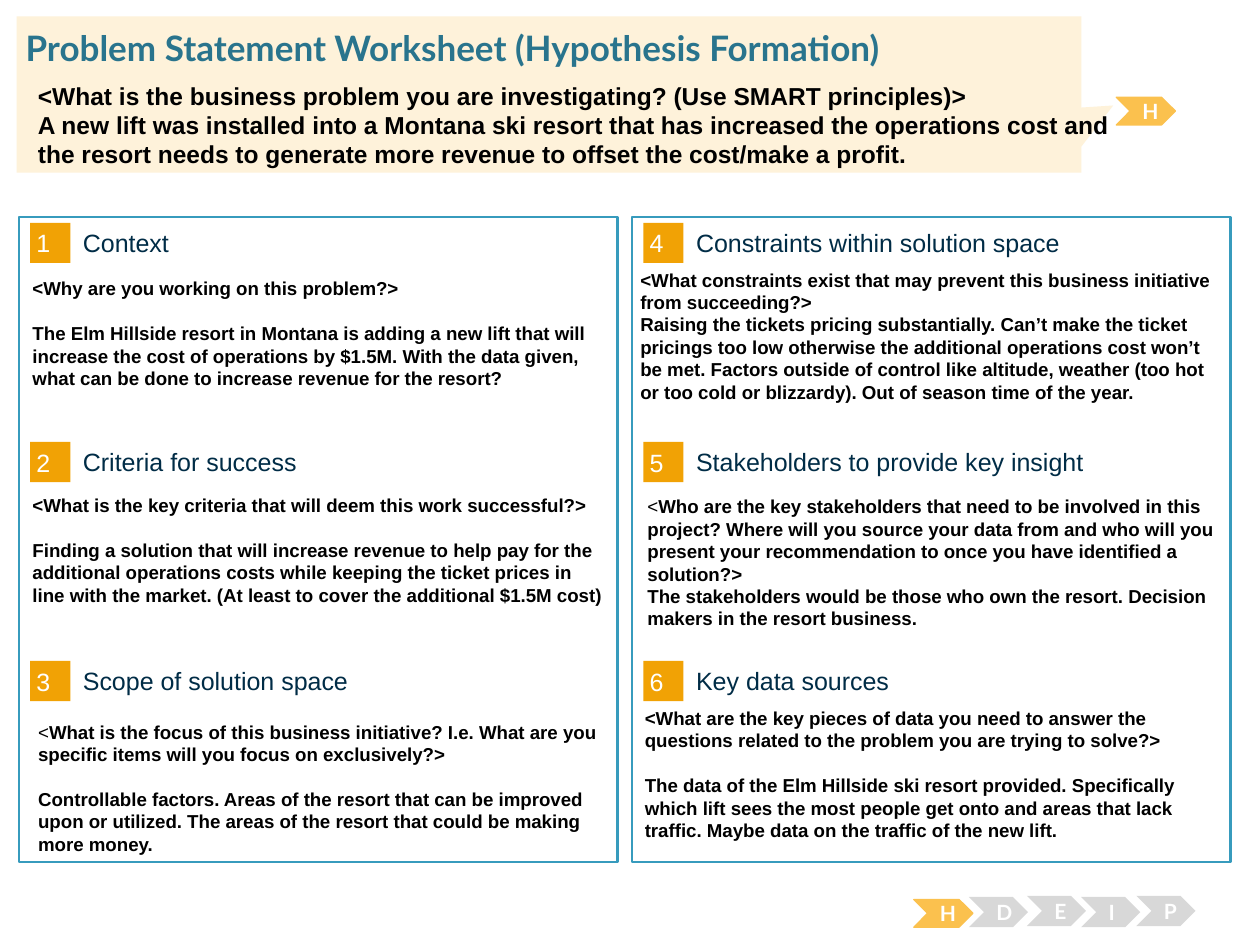
from pptx import Presentation
from pptx import util as u
from pptx.dml.color import RGBColor
from pptx.enum import shapes, text

WHITE = RGBColor(0xFF, 0xFF, 0xFF)
BLACK = RGBColor(0x00, 0x00, 0x00)
TEAL = RGBColor(0x29, 0x74, 0x8D)
FRAME_BLUE = RGBColor(0x37, 0x9B, 0xBD)
NAVY = RGBColor(0x00, 0x2C, 0x46)
ORANGE = RGBColor(0xF1, 0xA2, 0x05)
AMBER = RGBColor(0xFB, 0xC1, 0x4E)
CREAM = RGBColor(0xFE, 0xF2, 0xDA)
GREY = RGBColor(0xD8, 0xD8, 0xD8)

COLUMN_PITCH, ROW_PITCH = 350.4, 125.2
BODY_SIZE, HEADING_SIZE = 10.7, 14.3
BODY_WIDTH = 340.6
ANSWER_GAP = 12.8
BOX_INSETS = (7.2, 3.6)

# Heading, place of the body (left, top, height), question, answer, gap, plain "<"
SECTIONS = [
    ("Context", (11.5, 154.8, 97.9),
     "<Why are you working on this problem?>",
     "The Elm Hillside resort in Montana is adding a new lift that will increase the cost of "
     "operations by $1.5M. With the data given, what can be done to increase revenue for the resort?",
     ANSWER_GAP, False),
    ("Criteria for success", (11.5, 278.6, 96.5),
     "<What is the key criteria that will deem this work successful?>",
     "Finding a solution that will increase revenue to help pay for the additional operations costs "
     "while keeping the ticket prices in line with the market. "
     "(At least to cover the additional $1.5M cost)",
     ANSWER_GAP, False),
    ("Scope of solution space", (14.7, 408.2, 84.2),
     "<What is the focus of this business initiative? I.e. What are you specific items will you "
     "focus on exclusively?>",
     "Controllable factors. Areas of the resort that can be improved upon or utilized. "
     "The areas of the resort that could be making more money.",
     ANSWER_GAP, True),
    ("Constraints within solution space", (358.8, 149.8, 95.8),
     "<What constraints exist that may prevent this business initiative from succeeding?>",
     "Raising the tickets pricing substantially. Can’t make the ticket pricings too low otherwise "
     "the additional operations cost won’t be met. Factors outside of control like altitude, weather "
     "(too hot or too cold or blizzardy). Out of season time of the year.",
     0, False),
    ("Stakeholders to provide key insight", (362.9, 279.4, 85),
     "<Who are the key stakeholders that need to be involved in this project? Where will you source "
     "your data from and who will you present your recommendation to once you have identified a "
     "solution?>",
     "The stakeholders would be those who own the resort. Decision makers in the resort business.",
     0, True),
    ("Key data sources", (361.4, 400.3, 85),
     "<What are the key pieces of data you need to answer the questions related to the problem you "
     "are trying to solve?>",
     "The data of the Elm Hillside ski resort provided. Specifically which lift sees the most people "
     "get onto and areas that lack traffic. Maybe data on the traffic of the new lift.",
     ANSWER_GAP, False),
]

PROBLEM = [
    "<What is the business problem you are investigating? (Use SMART principles)>",
    "A new lift was installed into a Montana ski resort that has increased the operations cost and",
    "the resort needs to generate more revenue to offset the cost/make a profit.",
]

# Letter, left, top, height, fill
STAGES = [
    ("H", 522.2, 514, 15.8, AMBER),
    ("D", 553.7, 512.6, 17.3, GREY),
    ("E", 586.8, 511.9, 17.3, GREY),
    ("I", 617.8, 512.6, 17.3, GREY),
    ("P", 649.4, 511.9, 17.3, GREY),
]


def set_frame(frame, insets, anchor):
    frame.word_wrap = True
    frame.auto_size = text.MSO_AUTO_SIZE.NONE
    frame.vertical_anchor = anchor
    frame.margin_left = frame.margin_right = u.Pt(insets[0])
    frame.margin_top = frame.margin_bottom = u.Pt(insets[1])


def add_run(paragraph, words, size, color, bold=False, font="Arial"):
    run = paragraph.add_run()
    run.text = words
    run.font.name, run.font.size, run.font.bold = font, u.Pt(size), bold
    run.font.color.rgb = color


def add_block(slide, kind, box, fill, line=None, line_width=0.75):
    block = slide.shapes.add_shape(kind, *map(u.Pt, box))
    block.shadow.inherit = False
    block.fill.solid()
    block.fill.fore_color.rgb = fill
    if line is None:
        block.line.fill.background()
    else:
        block.line.color.rgb = line
        block.line.width = u.Pt(line_width)
    return block


def add_text_frame(slide, box, insets, anchor):
    frame = slide.shapes.add_textbox(*map(u.Pt, box)).text_frame
    set_frame(frame, insets, anchor)
    return frame


def add_stage(slide, letter, left, top, height, fill):
    stage = add_block(slide, shapes.MSO_SHAPE.CHEVRON, (left, top, 33.8, height), fill,
                      AMBER if fill == AMBER else None)
    set_frame(stage.text_frame, BOX_INSETS, text.MSO_ANCHOR.MIDDLE)
    paragraph = stage.text_frame.paragraphs[0]
    paragraph.alignment = text.PP_ALIGN.CENTER
    add_run(paragraph, letter, 12, WHITE, True, "Lato")


def add_heading(slide, number, heading, x, y):
    badge = add_block(slide, shapes.MSO_SHAPE.RECTANGLE, (x + 17.2, y, 23, 23), ORANGE)
    set_frame(badge.text_frame, (3.6, 3.6), text.MSO_ANCHOR.MIDDLE)
    digit = badge.text_frame.paragraphs[0]
    digit.alignment = text.PP_ALIGN.LEFT
    add_run(digit, str(number), HEADING_SIZE, WHITE)
    label = add_text_frame(slide, (x + 47.4, y + 2.2, 283, 18), (0, 0), text.MSO_ANCHOR.MIDDLE)
    add_run(label.paragraphs[0], heading, HEADING_SIZE, NAVY)


def add_body(slide, place, question, answer, gap, plain_bracket):
    left, top, height = place
    body = add_text_frame(slide, (left, top, BODY_WIDTH, height), BOX_INSETS, text.MSO_ANCHOR.TOP)
    asked = body.paragraphs[0]
    if plain_bracket:
        add_run(asked, question[0], BODY_SIZE, BLACK)
        question = question[1:]
    add_run(asked, question, BODY_SIZE, BLACK, True)
    answered = body.add_paragraph()
    answered.space_before = u.Pt(gap)
    add_run(answered, answer, BODY_SIZE, BLACK, True)


def add_title(slide, words):
    title = slide.shapes.title
    title.left, title.top, title.width, title.height = map(u.Pt, (14.6, 15.1, 692.6, 24.5))
    set_frame(title.text_frame, (0, 0), text.MSO_ANCHOR.MIDDLE)
    paragraph = title.text_frame.paragraphs[0]
    paragraph.alignment = text.PP_ALIGN.LEFT
    add_run(paragraph, words, 20, TEAL, True, "Lato")
    # Bring the title in front of the callout
    title.element.getparent().append(title.element)


def add_problem(slide):
    problem = add_text_frame(slide, (14.6, 42.5, 676, 55.4), BOX_INSETS, text.MSO_ANCHOR.TOP)
    for index, words in enumerate(PROBLEM):
        paragraph = problem.add_paragraph() if index else problem.paragraphs[0]
        add_run(paragraph, words, 14, BLACK, True)


def main():
    deck = Presentation()
    deck.slide_width, deck.slide_height = u.Pt(720), u.Pt(540)
    slide = deck.slides.add_slide(deck.slide_layouts[5])

    # Two columns of three sections
    for column in range(2):
        add_block(slide, shapes.MSO_SHAPE.RECTANGLE,
                  (10.8 + column * COLUMN_PITCH, 124, 342, 368.6), WHITE, FRAME_BLUE, 1.5)
    for index, (heading, *body) in enumerate(SECTIONS):
        column, row = divmod(index, 3)
        add_heading(slide, index + 1, heading, column * COLUMN_PITCH, 127.3 + row * ROW_PITCH)
        add_body(slide, *body)

    # Stage tracker, and the marker of the current stage
    for stage in STAGES:
        add_stage(slide, *stage)
    add_stage(slide, "H", 637.9, 55.6, 15.8, AMBER)

    # Problem statement
    callout = add_block(slide, shapes.MSO_SHAPE.RECTANGULAR_CALLOUT,
                        (9.5, 9.4, 608.4, 89.3), CREAM)
    callout.adjustments[0], callout.adjustments[1] = 0.53, 0.07
    add_title(slide, "Problem Statement Worksheet (Hypothesis Formation)")
    add_problem(slide)

    deck.save("out.pptx")


main()
